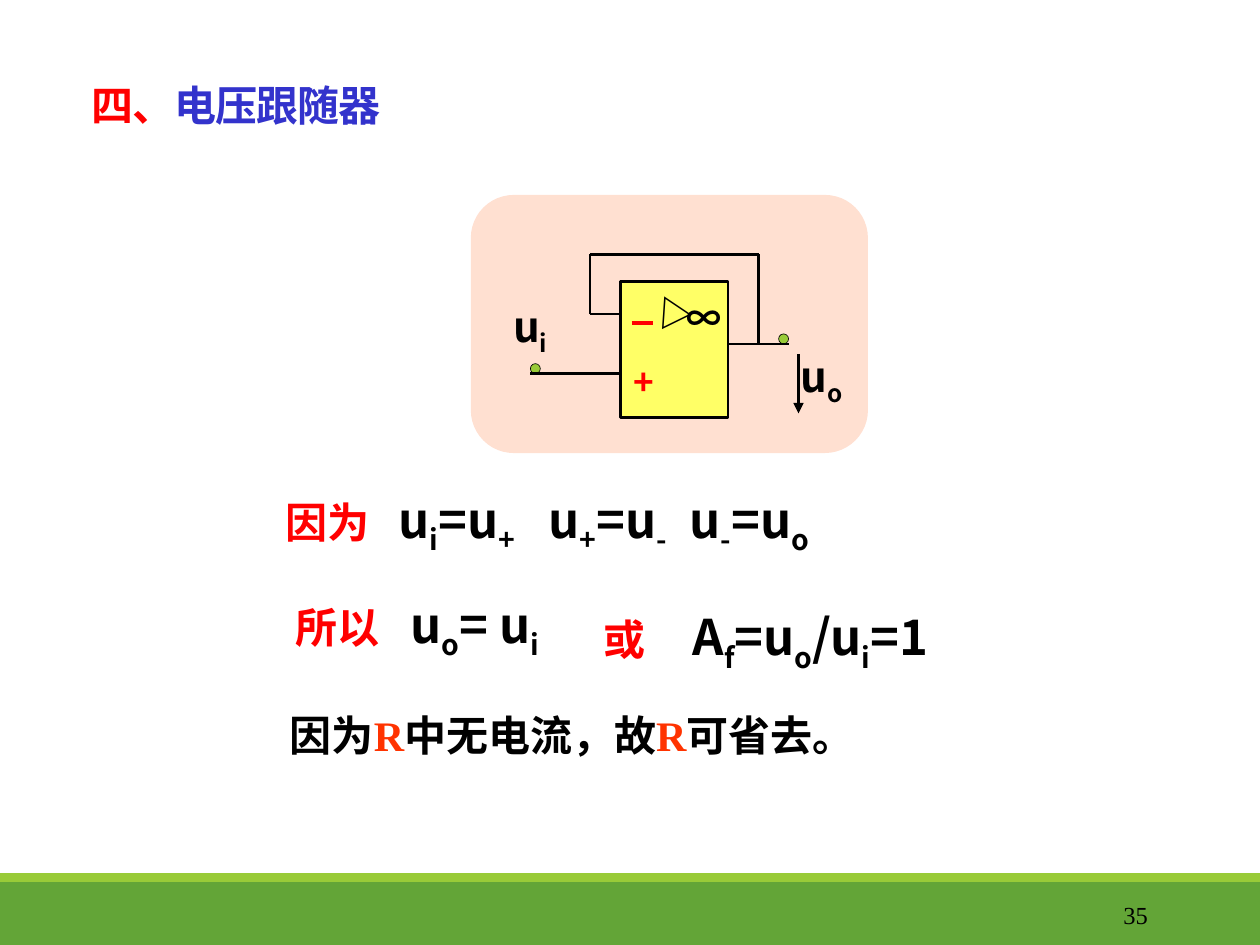
from dataclasses import dataclass

from lxml.etree import SubElement
from pptx import Presentation
from pptx.dml.color import RGBColor
from pptx.enum.shapes import MSO_CONNECTOR, MSO_SHAPE
from pptx.enum.text import MSO_ANCHOR, MSO_AUTO_SIZE, PP_ALIGN
from pptx.oxml.ns import qn
from pptx.util import Inches, Pt

COLORS = {
    "black": "000000", "red": "FF0000", "orange": "FF3300", "blue": "3333CC",
    "green": "63A537", "lime": "99CB38", "peach": "FFE0D1", "yellow": "FFFF66",
}
SANS, SERIF = "Noto Sans CJK SC", "Times New Roman"


@dataclass
class Grid:
    """A square grid with its origin and pitch in inches."""
    left: float
    top: float
    pitch: float

    def point(self, x, y):
        """Return the slide position of a grid point."""
        return Inches(self.left + x * self.pitch), Inches(self.top + y * self.pitch)

    def box(self, x, y, w, h):
        """Return left, top, width and height of a grid area."""
        return *self.point(x, y), Inches(w * self.pitch), Inches(h * self.pitch)


PAGE = Grid(0, 0, 1 / 12)
CIRCUIT = Grid(4.21, 2.02, 0.0788)


def rgb(name):
    """Return a named colour."""
    return RGBColor.from_string(COLORS[name])


def add_panel(s, kind, area, fill, line_width=0):
    """Add a filled preset shape, outlined in black if a width is given."""
    sp = s.shapes.add_shape(kind, *area)
    sp.shadow.inherit = False
    sp.fill.solid()
    sp.fill.fore_color.rgb = rgb(fill)
    if line_width:
        sp.line.color.rgb = rgb("black")
        sp.line.width = Pt(line_width)
    else:
        sp.line.fill.background()
    return sp


def add_wire(s, start, end, color="black", width=1.5, arrow=False):
    """Add a straight line between two circuit grid points."""
    sp = s.shapes.add_connector(
        MSO_CONNECTOR.STRAIGHT, *CIRCUIT.point(*start), *CIRCUIT.point(*end))
    sp.line.color.rgb = rgb(color)
    sp.line.width = Pt(width)
    if arrow:
        SubElement(sp.line._get_or_add_ln(), qn("a:tailEnd"), type="triangle")
    SubElement(sp._element.spPr, qn("a:effectLst"))


def add_run(p, text, color, size=None, sub=False):
    """Add a coloured run, as a subscript if asked."""
    r = p.add_run()
    r.text = text
    r.font.color.rgb = rgb(color)
    if size:
        r.font.size = Pt(size)
    if sub:
        r._r.get_or_add_rPr().set("baseline", "-25000")
    return r


def add_formula(p, formula, size=None):
    """Add a formula in which an underscore lowers the next character."""
    first, *rest = formula.split("_")
    add_run(p, first, "black", size)
    for part in rest:
        add_run(p, part[0], "black", size, sub=True)
        if part[1:]:
            add_run(p, part[1:], "black", size)


def style(p, size, font=SANS, bold=True):
    """Set the shared font of a paragraph, East Asian text included."""
    p.font.size, p.font.bold, p.font.name = Pt(size), bold, font
    SubElement(p._p.pPr.find(qn("a:defRPr")), qn("a:ea"), typeface=SANS)


def add_text(s, area, size, align=PP_ALIGN.LEFT, tabs=(), **font):
    """Add a wrapping text box and return it with its styled paragraph."""
    sp = s.shapes.add_textbox(*area)
    tf = sp.text_frame
    tf.word_wrap = True
    tf.auto_size = MSO_AUTO_SIZE.SHAPE_TO_FIT_TEXT
    p = tf.paragraphs[0]
    p.alignment = align
    if tabs:
        stops = SubElement(p._p.get_or_add_pPr(), qn("a:tabLst"))
        for tab in tabs:
            SubElement(stops, qn("a:tab"), pos=str(Inches(tab)), algn="l")
    style(p, size, **font)
    return sp, p


def add_title(s):
    """Fill and place the title placeholder."""
    sp = s.shapes.title
    sp.left, sp.top, sp.width, sp.height = PAGE.box(7.5, 5, 44, 8)
    tf = sp.text_frame
    tf.vertical_anchor = MSO_ANCHOR.BOTTOM
    p = tf.paragraphs[0]
    p.alignment, p.line_spacing = PP_ALIGN.LEFT, 0.85
    style(p, 24)
    for text, color in (("四、", "red"), ("电压跟随器", "blue")):
        add_run(p, text, color)._r.get_or_add_rPr().set("spc", "-50")


def add_footer(s):
    """Add the two green bands and the page number."""
    add_panel(s, MSO_SHAPE.RECTANGLE, PAGE.box(0, 84, 120, 6), "green")
    add_panel(s, MSO_SHAPE.RECTANGLE, PAGE.box(0, 83.15, 120, 0.85), "lime")
    sp, p = add_text(s, PAGE.box(97.5, 84.7, 13, 4.8), 14, PP_ALIGN.RIGHT,
                     font=SERIF, bold=False)
    sp.text_frame.auto_size = MSO_AUTO_SIZE.NONE
    sp.text_frame.vertical_anchor = MSO_ANCHOR.MIDDLE
    add_run(p, "35", "black")


def add_circuit(s):
    """Draw the voltage follower on its panel."""
    add_panel(s, MSO_SHAPE.ROUNDED_RECTANGLE, CIRCUIT.box(-6, -6, 40, 26), "peach")
    add_panel(s, MSO_SHAPE.RECTANGLE, CIRCUIT.box(9.1, 2.7, 10.8, 13.7), "yellow", 1.5)
    for text, area, color, turn in (
            ("▽", (12.2, 4, 4.6, 5.4), "black", 273.9),
            ("∞", (14.5, 3.6, 6.3, 5.4), "black", 0),
            ("+", (9.1, 10, 5.3, 5.4), "red", 0)):
        sp, p = add_text(s, CIRCUIT.box(*area), 20)
        sp.rotation = turn
        add_run(p, text, color)
    for x, y in ((25, 8), (0, 11)):
        add_panel(s, MSO_SHAPE.OVAL, CIRCUIT.box(x, y, 1, 1), "lime", 0.38)
    for formula, x, y in (("u_o", 26, 9), ("u_i", -3, 4)):
        add_formula(add_text(s, CIRCUIT.box(x, y, 7.4, 6.3), 24)[1], formula)
    add_wire(s, (10.2, 6.9), (12.3, 6.9), "red", 2.25)
    add_wire(s, (27, 10), (27, 16), arrow=True)
    add_wire(s, (0, 12), (9, 12))
    add_wire(s, (20, 9), (26, 9))
    feedback = [(9, 6), (6, 6), (6, 0), (23, 0), (23, 9)]
    for start, end in zip(feedback, feedback[1:]):
        add_wire(s, start, end)


def add_derivation(s):
    """Add the three formula lines and the closing remark."""
    for label, formula, area, tabs in (
            ("因为", "u_i=u_+\tu_+=u_-\tu_-=u_o", (26, 46, 69, 6.8), (0.9, 2.09, 3.21)),
            ("所以", "u_o= u_i", (27, 56, 53, 6.8), (0.91,)),
            ("或", "A_f=u_o/u_i=1", (56.3, 57.2, 54, 6.8), (0.71,))):
        p = add_text(s, PAGE.box(*area), 28, tabs=tabs)[1]
        add_run(p, label + "\t", "red", 24)
        add_formula(p, formula)
    p = add_text(s, PAGE.box(26, 67, 57, 6), 24, PP_ALIGN.CENTER, font=SERIF)[1]
    for text in ("因为", "R", "中无电流，故", "R", "可省去。"):
        add_run(p, text, "orange" if text == "R" else "black")


def main():
    """Build and save the slide."""
    prs = Presentation()
    prs.slide_width, prs.slide_height = Inches(10), Inches(7.5)
    s = prs.slides.add_slide(prs.slide_layouts[5])
    add_footer(s)
    add_title(s)
    add_circuit(s)
    add_derivation(s)
    prs.save("out.pptx")


if __name__ == "__main__":
    main()
